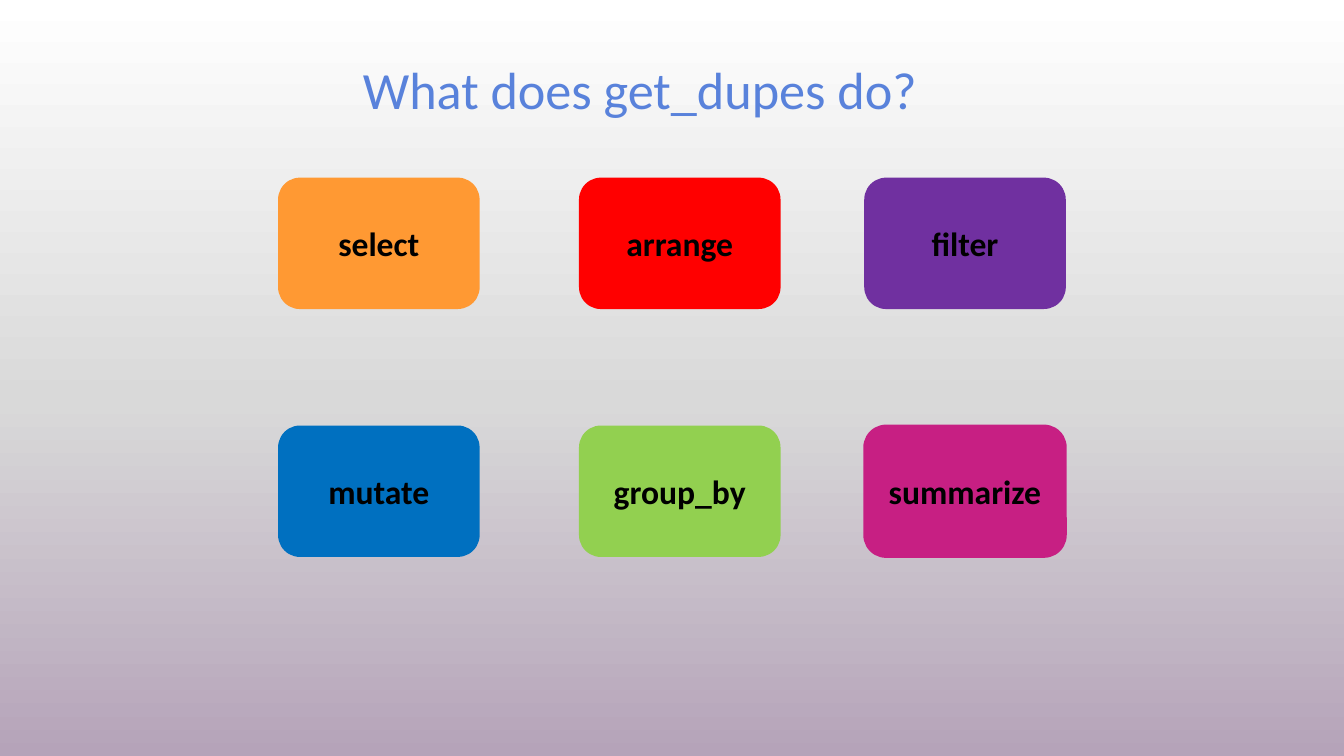
from copy import deepcopy
from dataclasses import dataclass

from pptx import Presentation
from pptx.dml.color import RGBColor
from pptx.enum.shapes import MSO_SHAPE
from pptx.enum.text import MSO_ANCHOR, MSO_AUTO_SIZE, PP_ALIGN
from pptx.oxml.ns import qn
from pptx.shapes.shapetree import GroupShapes
from pptx.slide import Slide
from pptx.text.text import TextFrame
from pptx.util import Pt

FONT = "Calibri"
BLACK = RGBColor(0x00, 0x00, 0x00)
TITLE_BLUE = RGBColor(0x59, 0x82, 0xDB)
ORANGE = RGBColor(0xFF, 0x99, 0x33)
RED = RGBColor(0xFF, 0x00, 0x00)
PURPLE = RGBColor(0x70, 0x30, 0xA0)
BLUE = RGBColor(0x00, 0x70, 0xC0)
GREEN = RGBColor(0x92, 0xD0, 0x50)
MAGENTA = RGBColor(0xC7, 0x1F, 0x83)
BACKGROUND_STOPS = (
    (0, RGBColor(0xFF, 0xFF, 0xFF)),
    (0.53, RGBColor(0xD9, 0xD9, 0xD9)),
    (1, RGBColor(0xB5, 0xA3, 0xB9)),
)

COLUMN_LEFTS = (149, 310.2, 463)
ROW_TOPS = (95.2, 228)
CARD_WIDTH, CARD_HEIGHT = 108, 70.4


@dataclass(frozen=True)
class VerbCard:
    verb: str
    color: RGBColor
    outlined: bool = False


CARD_ROWS = (
    (VerbCard("select", ORANGE), VerbCard("arrange", RED), VerbCard("filter", PURPLE)),
    (
        VerbCard("mutate", BLUE),
        VerbCard("group_by", GREEN),
        VerbCard("summarize", MAGENTA, outlined=True),
    ),
)


def set_centered_text(
    text_frame: TextFrame, text: str, size: float, color: RGBColor, bold: bool
) -> None:
    text_frame.text = text
    text_frame.word_wrap = True
    text_frame.vertical_anchor = MSO_ANCHOR.MIDDLE
    paragraph = text_frame.paragraphs[0]
    paragraph.alignment = PP_ALIGN.CENTER
    font = paragraph.runs[0].font
    font.name, font.size, font.bold = FONT, Pt(size), bold
    font.color.rgb = color


def paint_background(slide: Slide) -> None:
    """Fill the slide with a three-stop gradient running from top to bottom."""
    fill = slide.background.fill
    fill.gradient()
    fill.gradient_angle = 270
    stop_list = slide.element.find(".//" + qn("a:gsLst"))
    stop_list.append(deepcopy(stop_list[-1]))
    for stop, (position, color) in zip(fill.gradient_stops, BACKGROUND_STOPS):
        stop.position = position
        stop.color.rgb = color


def add_title(slide: Slide, text: str) -> None:
    title = slide.shapes.title
    title.left, title.top = Pt(91.4), Pt(35.3)
    title.width, title.height = Pt(502.6), Pt(28.8)
    set_centered_text(title.text_frame, text, 28, TITLE_BLUE, bold=False)
    title.text_frame.auto_size = MSO_AUTO_SIZE.NONE
    title.text_frame.paragraphs[0].line_spacing = 0.9


def add_card(shapes: GroupShapes, card: VerbCard, left: float, top: float) -> None:
    shape = shapes.add_shape(
        MSO_SHAPE.ROUNDED_RECTANGLE, Pt(left), Pt(top), Pt(CARD_WIDTH), Pt(CARD_HEIGHT)
    )
    shape.shadow.inherit = False
    shape.fill.solid()
    shape.fill.fore_color.rgb = card.color
    if card.outlined:
        shape.line.color.rgb = card.color
        shape.line.width = Pt(1)
    else:
        shape.line.fill.background()
    set_centered_text(shape.text_frame, card.verb, 18, BLACK, bold=True)


def main() -> None:
    presentation = Presentation()
    presentation.slide_width, presentation.slide_height = Pt(720), Pt(405)
    title_only_layout = presentation.slide_layouts[5]
    slide = presentation.slides.add_slide(title_only_layout)
    paint_background(slide)
    add_title(slide, "What does get_dupes do?")
    cards = slide.shapes.add_group_shape()
    for top, row in zip(ROW_TOPS, CARD_ROWS):
        for left, card in zip(COLUMN_LEFTS, row):
            add_card(cards.shapes, card, left, top)
    presentation.save("out.pptx")


if __name__ == "__main__":
    main()
